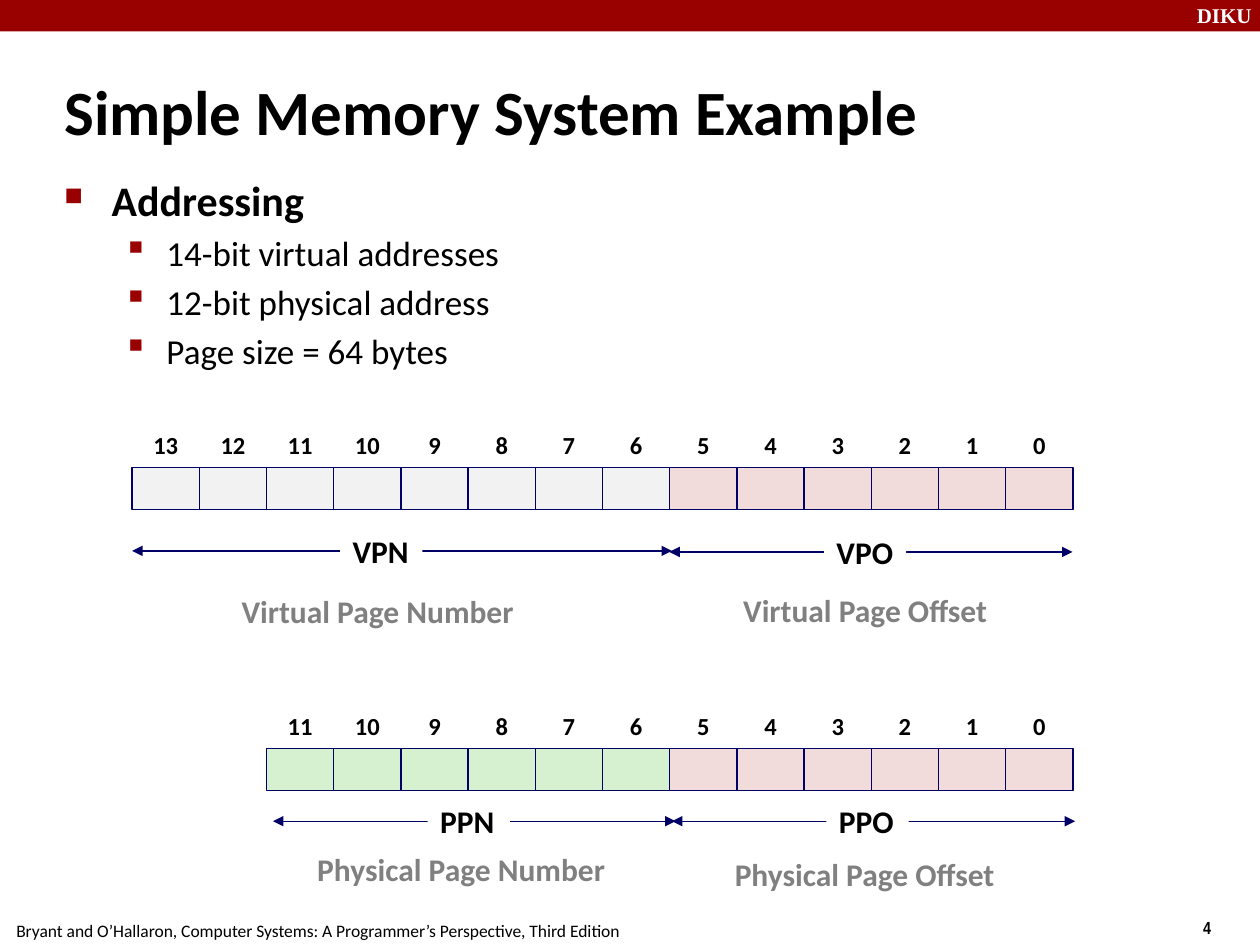
import pptx
import pptx.util
import pptx.dml.color
import pptx.enum.shapes
import pptx.enum.text
import pptx.oxml
import pptx.oxml.ns
from dataclasses import dataclass

Pt = pptx.util.Pt
Align = pptx.enum.text.PP_ALIGN
Anchor = pptx.enum.text.MSO_ANCHOR
NS = pptx.oxml.ns.nsdecls("a")


@dataclass(frozen=True)
class Theme:
    font: str = "Calibri"
    red: str = "990000"
    navy: str = "000066"
    black: str = "000000"
    white: str = "FFFFFF"
    gray: str = "808080"
    pale: str = "F2F2F2"
    pink: str = "F2DCDB"
    green: str = "D5F1CF"
    title: int = 36
    head: int = 24
    body: int = 20
    label: int = 18
    digit: int = 14
    brand: int = 12
    foot: int = 10
    rule: float = 0.74


class Deck:
    def __init__(self, theme):
        self.theme = theme
        self.prs = pptx.Presentation()
        self.prs.slide_width, self.prs.slide_height = Pt(720), Pt(540)
        self.slide = self.prs.slides.add_slide(self.prs.slide_layouts[6])

    def color(self, code):
        return pptx.dml.color.RGBColor.from_string(code)

    def style(self, para, size, color, bold, font=None):
        for run in para.runs:
            run.font.name = font or self.theme.font
            run.font.size = Pt(size)
            run.font.bold = bold
            run.font.color.rgb = self.color(color)

    def rect(self, x, y, w, h, fill, line=None):
        box = self.slide.shapes.add_shape(
            pptx.enum.shapes.MSO_SHAPE.RECTANGLE, Pt(x), Pt(y), Pt(w), Pt(h))
        box.shadow.inherit = False
        box.fill.solid()
        box.fill.fore_color.rgb = self.color(fill)
        if line:
            box.line.color.rgb = self.color(line)
            box.line.width = Pt(self.theme.rule)
        else:
            box.line.fill.background()
        return box

    def text(self, x, y, w, h, words, size, color=None, bold=True, font=None,
             align=Align.LEFT, anchor=Anchor.TOP, wrap=False, space=None, fill=None):
        box = self.slide.shapes.add_textbox(Pt(x), Pt(y), Pt(w), Pt(h))
        if fill:
            box.fill.solid()
            box.fill.fore_color.rgb = self.color(fill)
        frame = box.text_frame
        frame.text = words
        frame.word_wrap = wrap
        frame.vertical_anchor = anchor
        para = frame.paragraphs[0]
        para.alignment = align
        if space:
            para.line_spacing, para.space_before = 0.88, Pt(space)
        self.style(para, size, color or self.theme.black, bold, font)
        return frame

    def bullet(self, para, mark, scale, left, hang):
        props = para._p.get_or_add_pPr()
        props.set("marL", str(Pt(left)))
        props.set("indent", str(-Pt(hang)))
        for xml in (f'<a:buClr {NS}><a:srgbClr val="{self.theme.red}"/></a:buClr>',
                    f'<a:buSzPct {NS} val="{scale * 1000}"/>',
                    f'<a:buFont {NS} typeface="Wingdings" charset="2"/>',
                    f'<a:buChar {NS} char="{mark}"/>'):
            props.append(pptx.oxml.parse_xml(xml))

    def arrow(self, x1, x2, y):
        line = self.slide.shapes.add_connector(
            pptx.enum.shapes.MSO_CONNECTOR.STRAIGHT, Pt(x1), Pt(y), Pt(x2), Pt(y))
        line.line.color.rgb = self.color(self.theme.navy)
        line.line.width = Pt(self.theme.rule)
        for end in ("headEnd", "tailEnd"):
            line.line._get_or_add_ln().append(
                pptx.oxml.parse_xml(f'<a:{end} {NS} type="triangle"/>'))
        line._element.spPr.append(pptx.oxml.parse_xml(f"<a:effectLst {NS}/>"))

    def bits(self, top, count, fill):
        # Bit 0 sits at the right; the six low bits are the page offset
        for bit in reversed(range(count)):
            x = 75.5 + CELL * (13 - bit)
            self.rect(x, top, CELL, 24, self.theme.pink if bit < 6 else fill,
                      self.theme.navy)
            self.text(x, top - 24, CELL, 24, str(bit), self.theme.digit,
                      align=Align.CENTER, anchor=Anchor.MIDDLE, space=5.2)

    def span(self, x1, x2, y, left, tag):
        self.arrow(x1, x2, y)
        self.text(left, y - 11.5, 47, 28.8, tag, self.theme.label,
                  space=6.8, fill=self.theme.white)


CELL = 38.4
look = Theme()
deck = Deck(look)

# Header band and footer
deck.rect(0, 0, 720, 18, look.red)
deck.text(676.8, -2.2, 48.2, 21.6, "DIKU", look.brand, look.white,
          font="Times New Roman", wrap=True)
deck.text(680.4, 520.6, 54, 20.9, "4", look.foot, font="Arial Narrow", wrap=True)
deck.text(2.2, 522, 359.3, 19.4,
          "Bryant and O’Hallaron, Computer Systems: A Programmer’s Perspective, "
          "Third Edition", look.foot, bold=False)

# Title and bullets
deck.text(29.7, 40.3, 575.3, 45.4, "Simple Memory System Example", look.title,
          anchor=Anchor.MIDDLE, wrap=True)
frame = deck.text(29.5, 96, 653.8, 124.6, "Addressing", look.head, wrap=True)
frame.paragraphs[0].space_before = Pt(4.8)
deck.bullet(frame.paragraphs[0], "n", 60, 27.2, 27)
for item in ("14-bit virtual addresses", "12-bit physical address",
             "Page size = 64 bytes"):
    para = frame.add_paragraph()
    para.text = item
    para.level = 1
    para.space_before = Pt(4)
    deck.style(para, look.body, look.black, False)
    deck.bullet(para, "§", 110, 58.5, 22.5)

# Virtual and physical address bits
deck.bits(267, 14, look.pale)
deck.bits(427.6, 12, look.green)

# Field spans
for span in ((382.5, 612.9, 315.4, 470.9, "VPO"),
             (384, 614.4, 469.3, 472.3, "PPO"),
             (156, 386, 469.3, 244.4, "PPN"),
             (75.5, 384, 314.8, 194.4, "VPN")):
    deck.span(*span)

# Field names
for x, y, w, name in ((131, 337.7, 169.9, "Virtual Page Number"),
                      (417.6, 337, 154.1, "Virtual Page Offset"),
                      (174.2, 485, 179.3, "Physical Page Number"),
                      (412.8, 487.8, 162.7, "Physical Page Offset")):
    deck.text(x, y, w, 28.8, name, look.label, look.gray, space=6.8)

deck.prs.save("out.pptx")
